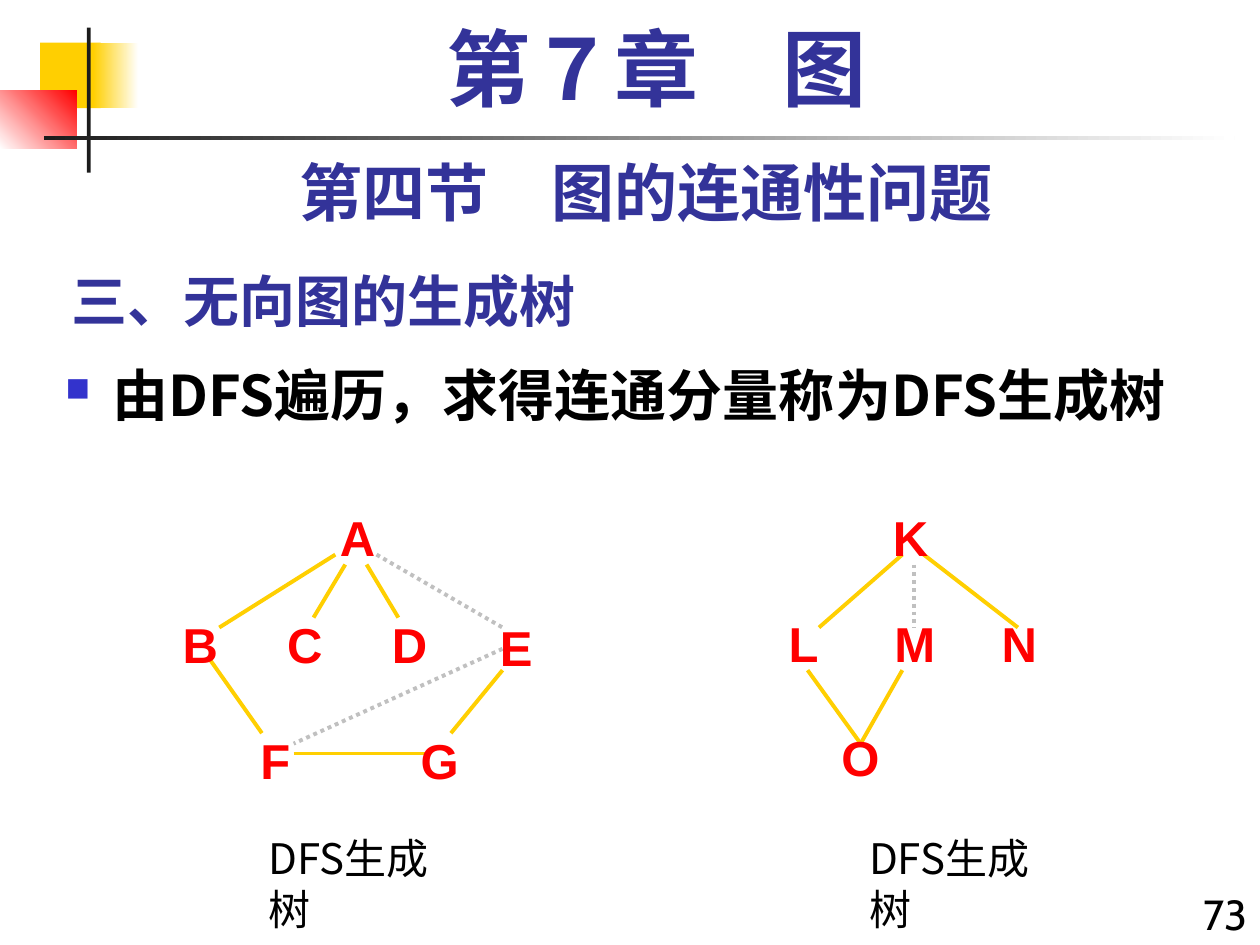
from dataclasses import dataclass

from lxml.etree import SubElement
from pptx import Presentation
from pptx.dml.color import RGBColor
from pptx.enum.dml import MSO_LINE
from pptx.enum.shapes import MSO_CONNECTOR, MSO_SHAPE
from pptx.enum.text import MSO_ANCHOR, PP_ALIGN
from pptx.oxml.ns import qn
from pptx.util import Cm, Pt

NAVY, BLACK, RED = "333399", "000000", "FF0000"
GOLD, GREY, DARK, WHITE = "FFCF01", "C0C0C0", "1C1C1C", "FFFFFF"
HAN = "Noto Sans CJK SC"


@dataclass
class Box:
    left: float
    top: float
    width: float
    height: float


@dataclass
class Style:
    size: int
    face: str
    hue: str
    bold: bool = True


@dataclass
class Bar:
    box: Box
    start: str
    end: str = ""
    angle: int = 0


@dataclass
class Node:
    name: str
    left: float
    top: float
    width: float


@dataclass
class Edge:
    x1: float
    y1: float
    x2: float
    y2: float
    hue: str = GOLD


@dataclass
class Tree:
    edges: list[Edge]
    nodes: list[Node]
    label: Box


BARS = [
    Bar(Box(0.81, 0.86, 1.22, 1.32), GOLD),
    Bar(Box(1.88, 0.86, 0.91, 1.32), GOLD, WHITE),
    Bar(Box(0, 1.83, 1.55, 1.17), WHITE, RED, 45),
    Bar(Box(1.75, 0.56, 0.08, 2.92), DARK),
    Bar(Box(0.89, 2.74, 24, 0.08), DARK, WHITE),
]

TREES = [
    Tree(
        [
            Edge(10.13, 13.08, 5.92, 14.99, GREY),
            Edge(5.92, 15.19, 8.66, 15.19),
            Edge(4.22, 13.28, 5.28, 14.78),
            Edge(10.13, 13.51, 9.09, 14.78),
            Edge(7.59, 11.18, 10.13, 12.65, GREY),
            Edge(7.39, 11.38, 8.03, 12.45),
            Edge(6.96, 11.38, 6.32, 12.45),
            Edge(6.76, 11.18, 4.42, 12.65),
        ],
        [
            Node("A", 6.6, 10.11, 1.22),
            Node("B", 3.43, 12.27, 1.22),
            Node("C", 5.54, 12.27, 1.22),
            Node("D", 7.65, 12.27, 1.22),
            Node("E", 9.83, 12.32, 1.17),
            Node("F", 5, 14.61, 1.12),
            Node("G", 8.23, 14.61, 1.27),
        ],
        Box(5.16, 16.66, 4.32, 1.27),
    ),
    Tree(
        [
            Edge(16.28, 13.51, 17.35, 14.99),
            Edge(18.19, 13.51, 17.35, 14.99, "FFCC00"),
            Edge(18.62, 11.18, 20.52, 12.65),
            Edge(18.19, 11.18, 16.51, 12.65),
            Edge(18.42, 11.38, 18.42, 12.65, GREY),
        ],
        [
            Node("K", 17.75, 10.11, 1.22),
            Node("L", 15.65, 12.24, 1.12),
            Node("M", 17.78, 12.24, 1.35),
            Node("N", 19.94, 12.24, 1.22),
            Node("O", 16.71, 14.55, 1.27),
        ],
        Box(17.27, 16.66, 4.32, 1.27),
    ),
]


def tint(code: str) -> RGBColor:
    return RGBColor.from_string(code)


def place(box: Box) -> tuple:
    return Cm(box.left), Cm(box.top), Cm(box.width), Cm(box.height)


def write(para, text: str, style: Style) -> None:
    run = para.add_run()
    run.text = text
    font = run.font
    font.size, font.name, font.bold = Pt(style.size), style.face, style.bold
    font.color.rgb = tint(style.hue)
    SubElement(font._element, qn("a:ea")).set("typeface", HAN)


def add_text(shapes, box: Box, text: str, style: Style,
             align=PP_ALIGN.LEFT, wrap: bool = True):
    frame = shapes.add_textbox(*place(box)).text_frame
    frame.word_wrap = wrap
    para = frame.paragraphs[0]
    para.alignment = align
    write(para, text, style)
    return para


def add_bar(shapes, bar: Bar) -> None:
    shape = shapes.add_shape(MSO_SHAPE.RECTANGLE, *place(bar.box))
    shape.shadow.inherit = False
    shape.line.fill.background()
    if not bar.end:
        shape.fill.solid()
        shape.fill.fore_color.rgb = tint(bar.start)
        return
    shape.fill.gradient()
    shape.fill.gradient_angle = bar.angle
    for stop, hue in zip(shape.fill.gradient_stops, (bar.start, bar.end)):
        stop.color.rgb = tint(hue)


def add_edge(shapes, edge: Edge) -> None:
    line = shapes.add_connector(MSO_CONNECTOR.STRAIGHT, Cm(edge.x1),
                                Cm(edge.y1), Cm(edge.x2), Cm(edge.y2))
    line.line.width = Pt(2.25)
    line.line.color.rgb = tint(edge.hue)
    if edge.hue == GREY:
        line.line.dash_style = MSO_LINE.ROUND_DOT
    SubElement(line._element.spPr, qn("a:effectLst"))


def add_tree(shapes, tree: Tree) -> None:
    add_text(shapes, tree.label, "DFS生成树", Style(24, HAN, BLACK, False))
    group = shapes.add_group_shape().shapes
    for edge in tree.edges:
        add_edge(group, edge)
    for node in tree.nodes:
        add_text(group, Box(node.left, node.top, node.width, 1.45),
                 node.name, Style(28, "Arial", RED), wrap=False)


def add_point(shapes, box: Box, text: str) -> None:
    para = add_text(shapes, box, text, Style(32, HAN, BLACK))
    props = para._p.get_or_add_pPr()
    props.set("marL", str(Cm(0.95)))
    props.set("indent", str(Cm(-0.95)))
    hue = SubElement(props, qn("a:buClr"))
    SubElement(hue, qn("a:srgbClr")).set("val", "3333CC")
    SubElement(props, qn("a:buSzPct")).set("val", "60000")
    SubElement(props, qn("a:buChar")).set("char", "■")


def main() -> None:
    deck = Presentation()
    deck.slide_width, deck.slide_height = Cm(25.4), Cm(19.05)
    slide = deck.slides.add_slide(deck.slide_layouts[5])
    shapes = slide.shapes
    for bar in BARS:
        add_bar(shapes, bar)

    title = shapes.title
    title.left, title.top, title.width, title.height = place(
        Box(1.19, 4.95, 20.96, 1.91))
    title.text_frame.vertical_anchor = MSO_ANCHOR.BOTTOM
    head = title.text_frame.paragraphs[0]
    head.alignment = PP_ALIGN.LEFT
    write(head, "三、无向图的生成树", Style(32, HAN, NAVY))

    part = add_text(shapes, Box(1.7, 0.43, 23.06, 2.11), "第７章\u3000图".replace("\u3000", "　"),
                    Style(48, "Times New Roman", NAVY), PP_ALIGN.CENTER)
    part.line_spacing = 0.9
    add_text(shapes, Box(1.27, 2.97, 23.5, 1.78), "第四节　图的连通性问题",
             Style(36, "Cabin", NAVY), PP_ALIGN.CENTER)
    add_point(shapes, Box(1.07, 7.14, 24.33, 11.23),
              "由DFS遍历，求得连通分量称为DFS生成树")
    for tree in TREES:
        add_tree(shapes, tree)
    add_text(shapes, Box(23.7, 17.78, 1.7, 1.27), "73",
             Style(24, "Cabin", BLACK, False), PP_ALIGN.RIGHT)
    deck.save("out.pptx")


if __name__ == "__main__":
    main()
